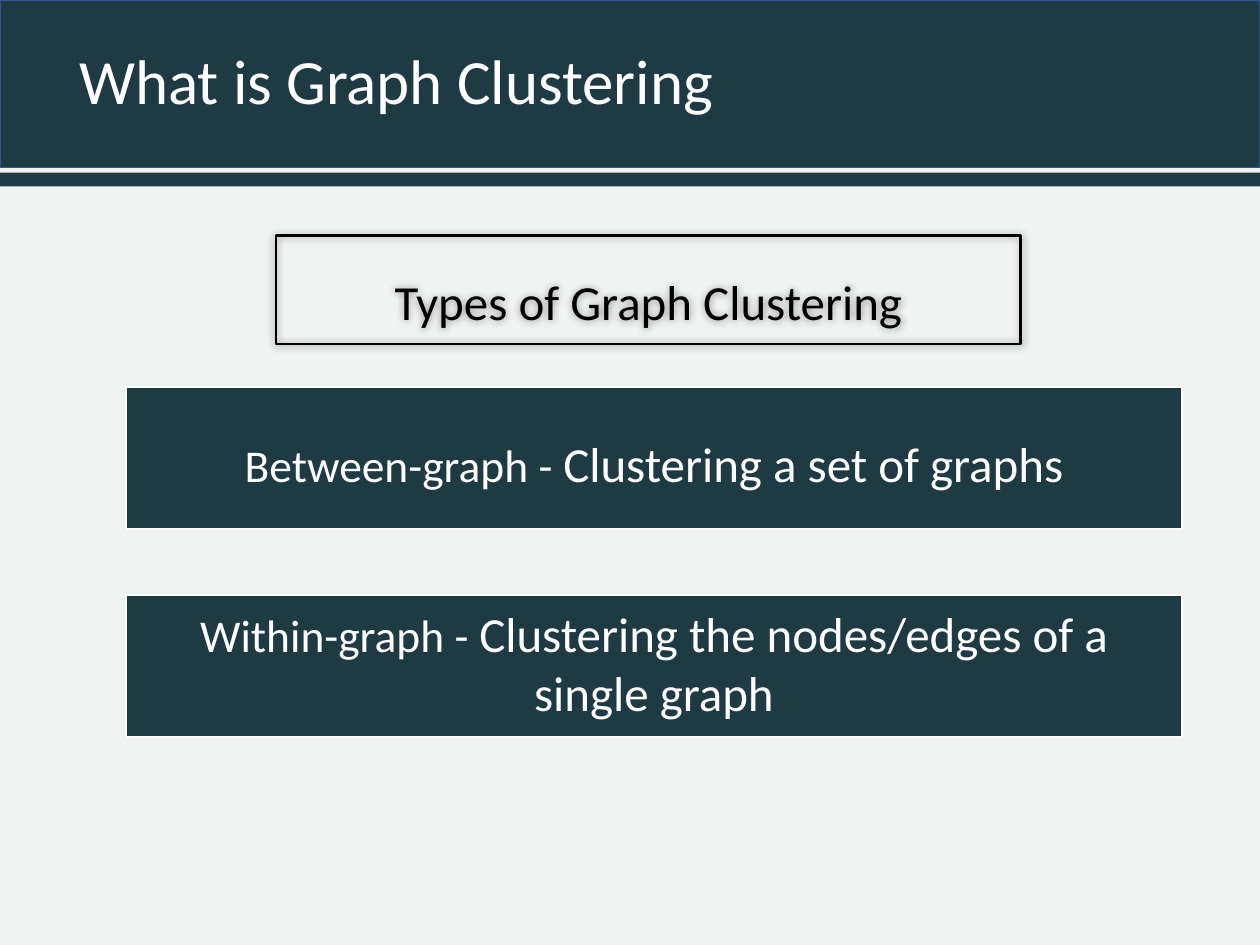
from dataclasses import dataclass

from lxml.etree import SubElement
from pptx import Presentation
from pptx.dml.color import RGBColor
from pptx.enum.shapes import MSO_SHAPE
from pptx.enum.text import MSO_ANCHOR, PP_ALIGN
from pptx.oxml.ns import qn
from pptx.shapes.autoshape import Shape
from pptx.slide import Slide
from pptx.text.text import _Paragraph as Paragraph
from pptx.util import Inches, Pt

TEAL = RGBColor(0x1E, 0x3A, 0x42)
PALE = RGBColor(0xF1, 0xF3, 0xF3)
BLUE = RGBColor(0x32, 0x54, 0x91)
WHITE = RGBColor(0xFF, 0xFF, 0xFF)
BLACK = RGBColor(0, 0, 0)

SLIDE_WIDTH, SLIDE_HEIGHT = 10, 7.5
HEADER_HEIGHT = 1.33
BAND_LEFT, BAND_WIDTH, BAND_HEIGHT = 1, 8.38, 1.13
BAND_TOP, BAND_PITCH = 3.07, 1.65


@dataclass(frozen=True)
class ClusteringType:
    name: str
    description: str
    top_inset: float
    bottom_inset: float


CLUSTERING_TYPES = [
    ClusteringType("Between-graph - ", "Clustering a set of graphs", 0.08, 0),
    ClusteringType("Within-graph - ", "Clustering the nodes/edges of a single graph", 0, 0.06),
]


def add_rectangle(slide: Slide, left: float, top: float, width: float, height: float,
                  fill: RGBColor | None = None, line: RGBColor | None = None,
                  line_width: float = 1) -> Shape:
    shape = slide.shapes.add_shape(
        MSO_SHAPE.RECTANGLE, Inches(left), Inches(top), Inches(width), Inches(height))
    shape.shadow.inherit = False
    if fill is None:
        shape.fill.background()
    else:
        shape.fill.solid()
        shape.fill.fore_color.rgb = fill
    if line is None:
        shape.line.fill.background()
    else:
        shape.line.color.rgb = line
        shape.line.width = Pt(line_width)
    return shape


def add_run(paragraph: Paragraph, text: str, size: float, color: RGBColor) -> None:
    run = paragraph.add_run()
    run.text = text
    run.font.name = "Calibri"
    run.font.size = Pt(size)
    run.font.color.rgb = color


def add_soft_shadow(shape: Shape) -> None:
    effects = shape.element.spPr.find(qn("a:effectLst"))
    shadow = SubElement(effects, qn("a:outerShdw"), blurRad=str(Pt(5)), dist="0", dir="0")
    color = SubElement(shadow, qn("a:srgbClr"), val=str(BLACK))
    SubElement(color, qn("a:alpha"), val="40000")


def add_header(slide: Slide) -> None:
    add_rectangle(slide, 0, 0, SLIDE_WIDTH, HEADER_HEIGHT, TEAL, BLUE)
    add_rectangle(slide, 0, 1.37, SLIDE_WIDTH, 0.11, TEAL)
    title = slide.shapes.add_textbox(
        Inches(0.53), 0, Inches(SLIDE_WIDTH - 0.53), Inches(HEADER_HEIGHT))
    text_frame = title.text_frame
    text_frame.word_wrap = True
    text_frame.vertical_anchor = MSO_ANCHOR.MIDDLE
    paragraph = text_frame.paragraphs[0]
    paragraph.line_spacing = 0.9
    add_run(paragraph, "What is Graph Clustering", 36, WHITE)


def add_band(slide: Slide, row: int, kind: ClusteringType) -> None:
    band = add_rectangle(slide, BAND_LEFT, BAND_TOP + row * BAND_PITCH,
                         BAND_WIDTH, BAND_HEIGHT, TEAL, WHITE)
    text_frame = band.text_frame
    text_frame.word_wrap = True
    text_frame.vertical_anchor = MSO_ANCHOR.MIDDLE
    text_frame.margin_left = text_frame.margin_right = Inches(0.11)
    text_frame.margin_top = Inches(kind.top_inset)
    text_frame.margin_bottom = Inches(kind.bottom_inset)
    paragraph = text_frame.paragraphs[0]
    paragraph.alignment = PP_ALIGN.CENTER
    add_run(paragraph, kind.name, 26, WHITE)
    add_run(paragraph, kind.description, 28, WHITE)


def add_heading(slide: Slide) -> None:
    heading = add_rectangle(slide, 2.19, 1.87, 5.91, 0.86, line=BLACK, line_width=1.5)
    add_soft_shadow(heading)
    text_frame = heading.text_frame
    text_frame.word_wrap = True
    text_frame.vertical_anchor = MSO_ANCHOR.TOP
    paragraph = text_frame.paragraphs[0]
    paragraph.alignment = PP_ALIGN.CENTER
    paragraph.line_spacing = 1.5
    add_run(paragraph, "Types of Graph Clustering", 28, BLACK)


def main() -> None:
    presentation = Presentation()
    presentation.slide_width = Inches(SLIDE_WIDTH)
    presentation.slide_height = Inches(SLIDE_HEIGHT)
    slide = presentation.slides.add_slide(presentation.slide_layouts[6])
    slide.background.fill.solid()
    slide.background.fill.fore_color.rgb = PALE

    # Title area
    add_header(slide)

    # One band for each type of clustering, under a shared heading
    for row, kind in enumerate(CLUSTERING_TYPES):
        add_band(slide, row, kind)
    add_heading(slide)

    presentation.save("out.pptx")


if __name__ == "__main__":
    main()
